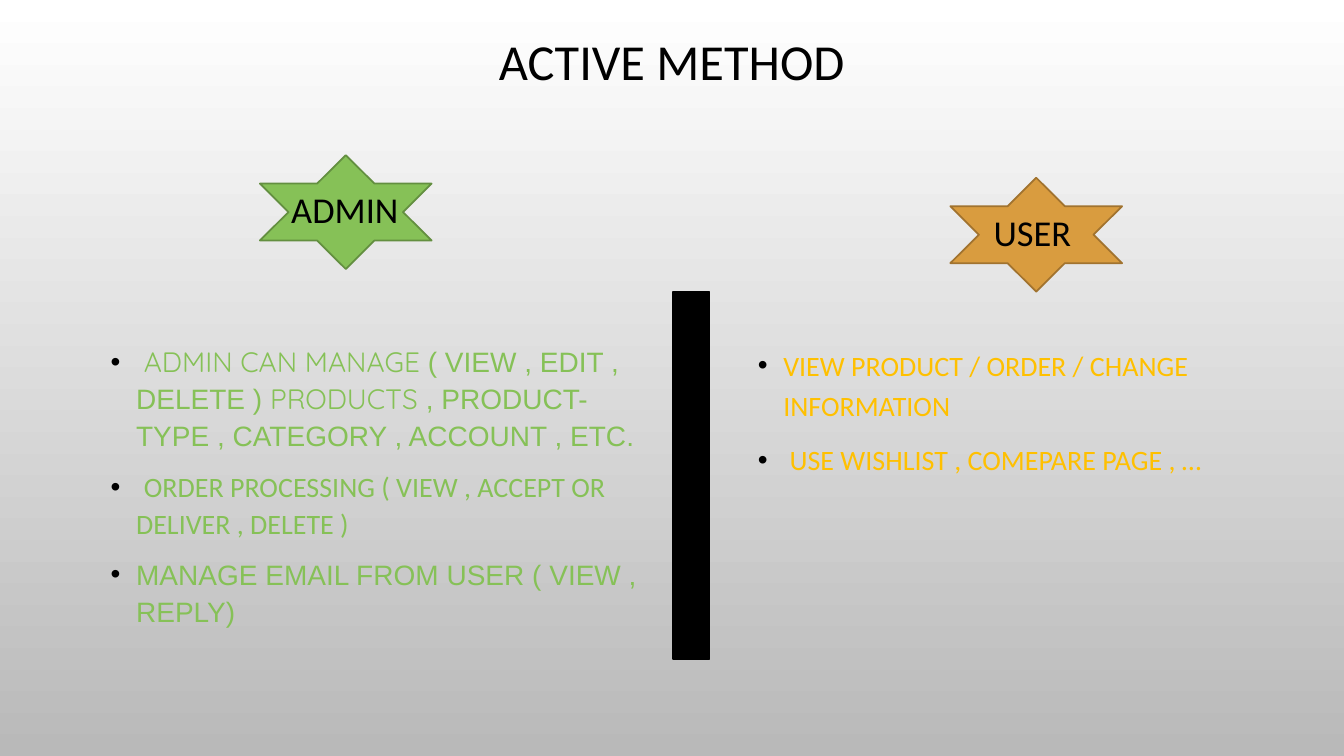
from lxml import etree
from pptx import Presentation
from pptx.dml.color import RGBColor
from pptx.enum.shapes import MSO_SHAPE as Preset
from pptx.enum.text import MSO_ANCHOR as Anchor, PP_ALIGN as Align
from pptx.oxml.ns import qn
from pptx.util import Cm, Pt

BLACK = RGBColor(0x00, 0x00, 0x00)
WHITE = RGBColor(0xFF, 0xFF, 0xFF)
GREY = RGBColor(0xB9, 0xB9, 0xB9)
GREEN = RGBColor(0x86, 0xC1, 0x57)
DARK_GREEN = RGBColor(0x63, 0x8F, 0x40)
ORANGE = RGBColor(0xD9, 0x9C, 0x3F)
BROWN = RGBColor(0xA1, 0x73, 0x2F)
GOLD = RGBColor(0xFF, 0xC0, 0x00)


class RolePage:
    """Style and current slide; all lengths are in centimetres."""

    main_font = "Calibri"
    indent = Cm(0.64)

    def __init__(self, deck):
        self.page = deck.slides.add_slide(deck.slide_layouts[6])

    def background(self, top, bottom):
        fill = self.page.background.fill
        fill.gradient()
        fill.gradient_angle = 270
        for stop, color in zip(fill.gradient_stops, (top, bottom)):
            stop.color.rgb = color

    def shape(self, preset, place, fill, line):
        shape = self.page.shapes.add_shape(preset, *map(Cm, place))
        shape.shadow.inherit = False
        shape.fill.solid()
        shape.fill.fore_color.rgb = fill
        shape.line.color.rgb = line
        shape.line.width = Pt(1.25)

    def frame(self, place, anchor):
        frame = self.page.shapes.add_textbox(*map(Cm, place)).text_frame
        frame.word_wrap = True
        frame.vertical_anchor = anchor
        return frame

    def style(self, span, size, color, font=main_font):
        span.font.size = Pt(size)
        span.font.name = font
        span.font.color.rgb = color

    def label(self, place, text, size, anchor, spacing, align=Align.LEFT):
        frame = self.frame(place, anchor)
        frame.text = text
        para = frame.paragraphs[0]
        para.alignment = align
        para.line_spacing = spacing
        self.style(para.runs[0], size, BLACK)

    def bullets(self, place, items, color, spacing):
        """Each item is a list of (text, font) pairs."""
        frame = self.frame(place, Anchor.TOP)
        for number, item in enumerate(items):
            para = frame.add_paragraph() if number else frame.paragraphs[0]
            para.line_spacing = spacing
            if number:
                para.space_before = Pt(10)
            self.add_bullet(para)
            for text, font in item:
                span = para.add_run()
                span.text = text
                self.style(span, 20, color, font)

    def add_bullet(self, para):
        properties = para._p.get_or_add_pPr()
        properties.set("marL", str(self.indent))
        properties.set("indent", str(-self.indent))
        bullet_color = etree.SubElement(properties, qn("a:buClr"))
        etree.SubElement(bullet_color, qn("a:srgbClr"), val=str(BLACK))
        etree.SubElement(properties, qn("a:buFont"), typeface="Arial")
        etree.SubElement(properties, qn("a:buChar"), char="•")


def main():
    deck = Presentation()
    deck.slide_width, deck.slide_height = Cm(33.87), Cm(19.05)
    roles = RolePage(deck)
    roles.background(WHITE, GREY)

    # Title
    roles.label((2.54, 0.18, 28.78, 2.9), "ACTIVE METHOD", 36,
                Anchor.MIDDLE, 0.9, Align.CENTER)

    # Role stars with their names
    roles.shape(Preset.STAR_6_POINT, (6.55, 3.91, 4.33, 2.87), GREEN, DARK_GREEN)
    roles.shape(Preset.STAR_6_POINT, (23.95, 4.48, 4.33, 2.87), ORANGE, BROWN)
    roles.label((7.09, 4.47, 3.4, 1.47), "ADMIN", 26, Anchor.BOTTOM, 0.85)
    roles.label((24.79, 4.98, 2.67, 1.55), "USER", 26, Anchor.BOTTOM, 0.85)

    # What each role can do
    roles.bullets((2.54, 8.48, 14.17, 7.62), [
        [(" ", "Arial"),
         ("ADMIN CAN MANAGE ", "Quicksand"),
         ("( VIEW , EDIT , DELETE ) ", "Arial"),
         ("PRODUCTS", "Quicksand"),
         (" , PRODUCT-TYPE , CATEGORY , ACCOUNT , ETC.", "Arial")],
        [(" ", "Arial"),
         ("ORDER PROCESSING ( VIEW , ACCEPT OR DELIVER , DELETE )", "Calibri")],
        [("MANAGE EMAIL FROM USER ( VIEW , REPLY)", "Arial")],
    ], GREEN, 1.1)
    roles.bullets((18.85, 8.48, 14.17, 7.62), [
        [("VIEW PRODUCT / ORDER / CHANGE INFORMATION", "Calibri")],
        [(" USE WISHLIST , COMEPARE PAGE , …", "Calibri")],
    ], GOLD, 1.2)

    # Divider between the roles
    roles.shape(Preset.RECTANGLE, (16.96, 7.35, 0.92, 9.26), BLACK, BLACK)

    deck.save("out.pptx")


if __name__ == "__main__":
    main()
